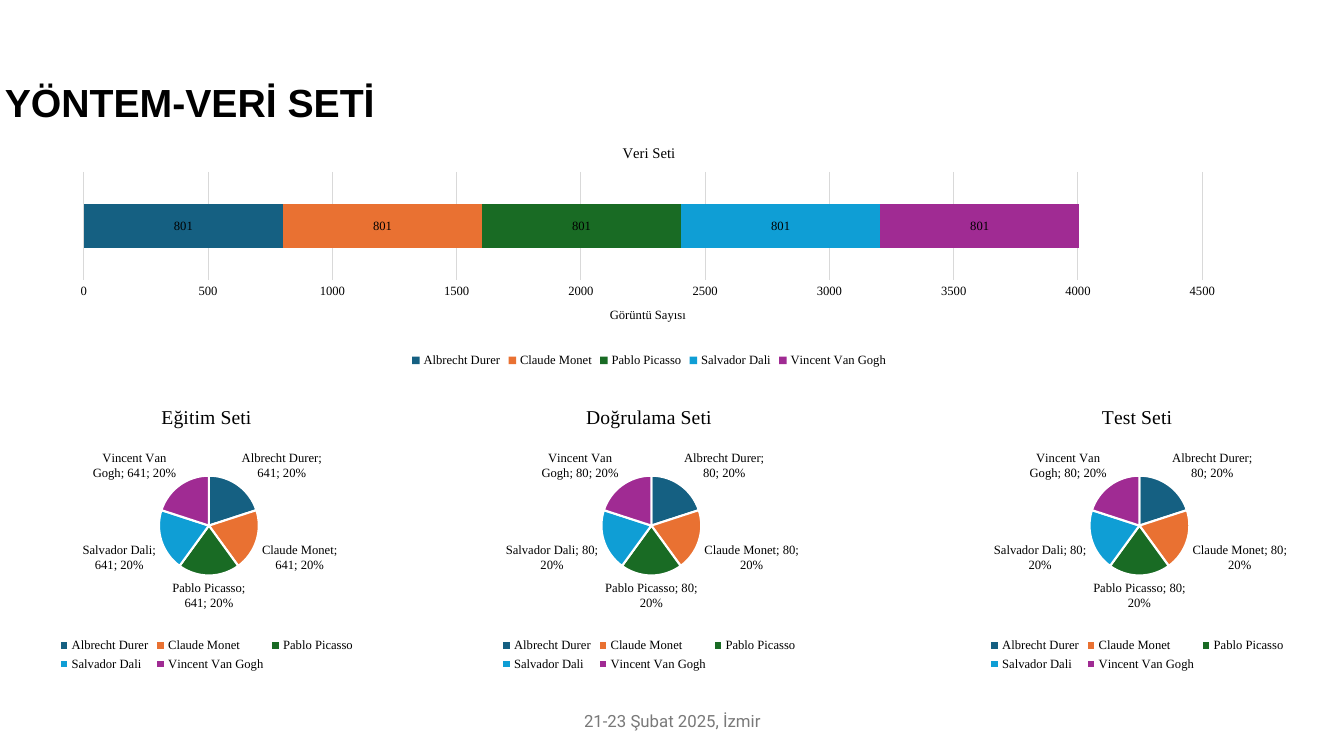
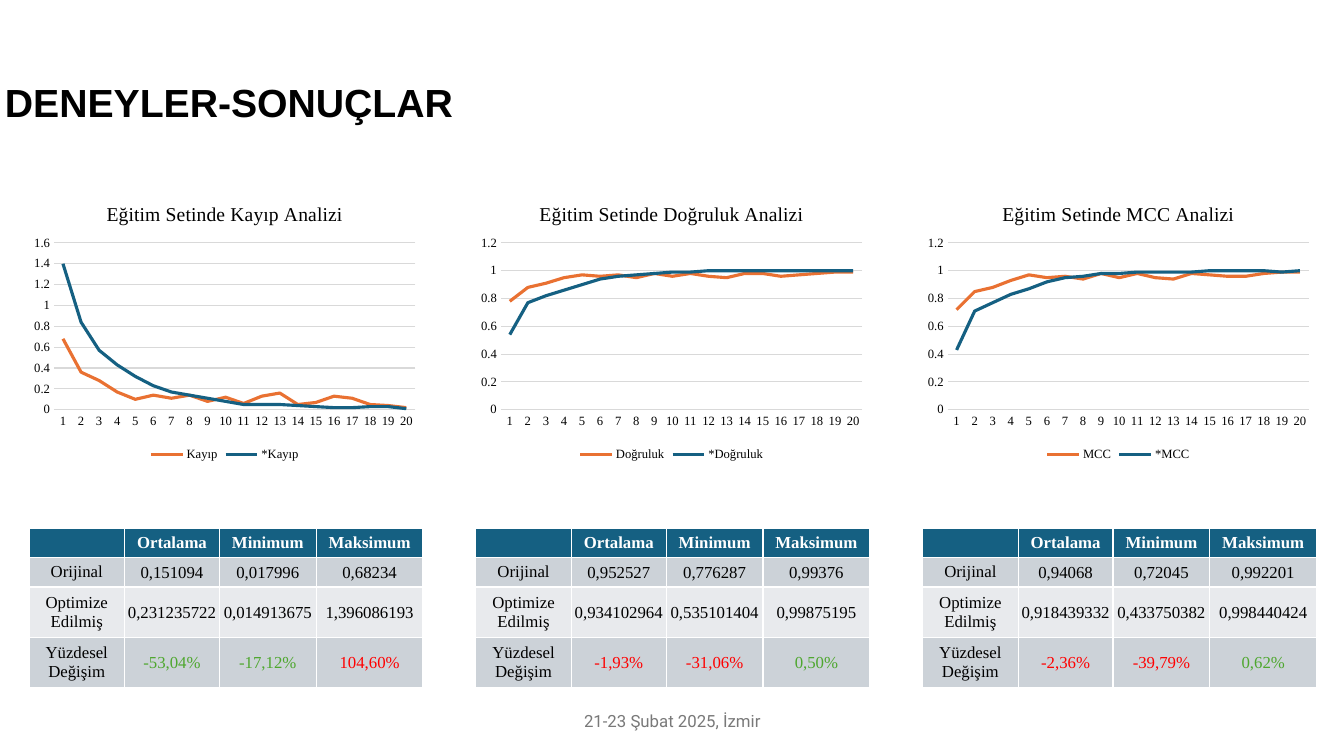
import pptx
import pptx.chart.data
import pptx.dml.color
import pptx.enum.chart
import pptx.enum.text
import pptx.oxml
import pptx.oxml.ns
import pptx.util

Cm, Pt = pptx.util.Cm, pptx.util.Pt
ChartType = pptx.enum.chart.XL_CHART_TYPE
Align = pptx.enum.text.PP_ALIGN
Anchor = pptx.enum.text.MSO_ANCHOR

SERIF = "Times New Roman"
BLACK, WHITE, GRID = "000000", "FFFFFF", "D9D9D9"
TEAL, ORANGE = "156082", "E97132"
GREEN, RED = "4EA72E", "FF0000"
BANDS = ["CCD2D8", "E8EAED"]
PAINTERS = {
    "Albrecht Durer": TEAL,
    "Claude Monet": ORANGE,
    "Pablo Picasso": "196B24",
    "Salvador Dali": "0F9ED5",
    "Vincent Van Gogh": "A02B93",
}


def color(code):
    return pptx.dml.color.RGBColor.from_string(code)


def add_chart(page, kind, frame, title, title_size, categories, series, plot_area):
    """Add a styled chart; plot_area holds x, y, w, h as shares of the frame."""
    data = pptx.chart.data.CategoryChartData()
    data.categories = categories
    for name, values in series:
        data.add_series(name, values)
    chart = page.shapes.add_chart(kind, *[Cm(n) for n in frame], data).chart
    chart.font.name = SERIF
    chart.font.size = Pt(9)
    chart.font.color.rgb = color(BLACK)

    chart.has_title = True
    chart.chart_title.include_in_layout = False
    para = chart.chart_title.text_frame.paragraphs[0]
    para.text = title
    para.font.name = SERIF
    para.font.size = Pt(title_size)
    para.font.bold = False
    para.font.color.rgb = color(BLACK)

    chart.has_legend = True
    chart.legend.position = pptx.enum.chart.XL_LEGEND_POSITION.BOTTOM
    chart.legend.include_in_layout = False
    chart.legend.font.name = SERIF
    chart.legend.font.size = Pt(9)
    chart.plots[0].vary_by_categories = kind == ChartType.PIE

    if kind != ChartType.PIE:
        for axis in (chart.category_axis, chart.value_axis):
            axis.major_tick_mark = pptx.enum.chart.XL_TICK_MARK.NONE
            axis.tick_labels.font.name = SERIF
            axis.tick_labels.font.size = Pt(9)
        chart.category_axis.format.line.color.rgb = color(GRID)
        chart.category_axis.format.line.width = Pt(0.75)
        chart.value_axis.format.line.fill.background()
        chart.value_axis.has_major_gridlines = True
        grid_line = chart.value_axis.major_gridlines.format.line
        grid_line.color.rgb = color(GRID)
        grid_line.width = Pt(0.75)

    area = chart.element.find(".//" + pptx.oxml.ns.qn("c:plotArea"))
    for layout in area.findall(pptx.oxml.ns.qn("c:layout")):
        area.remove(layout)
    places = "".join(f'<c:{key} val="{share}"/>' for key, share in zip("xywh", plot_area))
    area.insert(0, pptx.oxml.parse_xml(
        f'<c:layout {pptx.oxml.ns.nsdecls("c")}><c:manualLayout>'
        '<c:layoutTarget val="inner"/><c:xMode val="edge"/><c:yMode val="edge"/>'
        f"{places}</c:manualLayout></c:layout>"))
    return chart


deck = pptx.Presentation()
deck.slide_width, deck.slide_height = Cm(33.87), Cm(19.05)

# Title and footer of every page
pages = []
for heading in ("YÖNTEM-VERİ SETİ", "DENEYLER-SONUÇLAR"):
    page = deck.slides.add_slide(deck.slide_layouts[5])
    title = page.shapes.title
    title.left, title.top, title.width, title.height = Cm(-0.13), Cm(1.85), Cm(31.57), Cm(1.45)
    footer = page.shapes.add_textbox(Cm(11.23), Cm(17.65), Cm(11.43), Cm(1.02))
    for box, text, font, size, ink, bold, align, anchor in (
        (title, heading, "Arial", 28, BLACK, True, Align.LEFT, Anchor.TOP),
        (footer, "21-23 Şubat 2025, İzmir", "Roboto", 12, "797979", False,
         Align.CENTER, Anchor.MIDDLE),
    ):
        box.text_frame.word_wrap = True
        box.text_frame.auto_size = pptx.enum.text.MSO_AUTO_SIZE.NONE
        box.text_frame.vertical_anchor = anchor
        para = box.text_frame.paragraphs[0]
        para.text = text
        para.alignment = align
        para.font.name = font
        para.font.size = Pt(size)
        para.font.bold = bold
        para.font.color.rgb = color(ink)
    pages.append(page)
dataset_page, results_page = pages

# Data set: all images in one stacked bar
chart = add_chart(dataset_page, ChartType.BAR_STACKED, (1.52, 3.3, 29.67, 6.07), "Veri Seti", 10.5,
                  ["1"], [(name, [801]) for name in PAINTERS], (0.02, 0.17, 0.95, 0.45))
chart.category_axis.visible = False
axis_title = chart.value_axis.axis_title.text_frame.paragraphs[0]
axis_title.text = "Görüntü Sayısı"
axis_title.font.name = SERIF
axis_title.font.size = Pt(9)
axis_title.font.bold = False
plot = chart.plots[0]
plot.gap_width, plot.overlap = 150, 100
plot.has_data_labels = True
plot.data_labels.show_value = True
plot.data_labels.font.name = SERIF
plot.data_labels.font.size = Pt(9)
for series, ink in zip(plot.series, PAINTERS.values()):
    series.format.fill.solid()
    series.format.fill.fore_color.rgb = color(ink)

# Data set: one pie per split
for left, name, count in ((-0.79, "Eğitim Seti", 641), (10.36, "Doğrulama Seti", 80),
                          (22.66, "Test Seti", 80)):
    chart = add_chart(dataset_page, ChartType.PIE, (left, 9.83, 11.99, 7.19), name, 14,
                      list(PAINTERS), [(name, [count] * len(PAINTERS))],
                      (0.4, 0.3, 0.21, 0.35))
    plot = chart.plots[0]
    plot.has_data_labels = True
    labels = plot.data_labels
    labels.show_category_name = labels.show_value = labels.show_percentage = True
    labels.position = pptx.enum.chart.XL_LABEL_POSITION.OUTSIDE_END
    labels.font.name = SERIF
    labels.font.size = Pt(9)
    for index, ink in enumerate(PAINTERS.values()):
        slice_format = plot.series[0].points[index].format
        slice_format.fill.solid()
        slice_format.fill.fore_color.rgb = color(ink)
        slice_format.line.color.rgb = color(WHITE)
        slice_format.line.width = Pt(1.5)

# Results: per metric the name, whether lower is better, both curves and the table figures
metrics = [
    ("Kayıp", True,
     [0.68, 0.36, 0.28, 0.17, 0.1, 0.14, 0.11, 0.14, 0.08, 0.12,
      0.06, 0.13, 0.16, 0.05, 0.07, 0.13, 0.11, 0.05, 0.04, 0.02],
     [1.4, 0.84, 0.57, 0.43, 0.32, 0.23, 0.17, 0.14, 0.11, 0.08,
      0.05, 0.05, 0.05, 0.04, 0.03, 0.02, 0.02, 0.03, 0.03, 0.01],
     [["0,151094", "0,017996", "0,68234"],
      ["0,231235722", "0,014913675", "1,396086193"],
      ["-53,04%", "-17,12%", "104,60%"]]),
    ("Doğruluk", False,
     [0.78, 0.88, 0.91, 0.95, 0.97, 0.96, 0.97, 0.95, 0.98, 0.96,
      0.98, 0.96, 0.95, 0.98, 0.98, 0.96, 0.97, 0.98, 0.99, 0.99],
     [0.54, 0.77, 0.82, 0.86, 0.9, 0.94, 0.96, 0.97, 0.98, 0.99,
      0.99, 1, 1, 1, 1, 1, 1, 1, 1, 1],
     [["0,952527", "0,776287", "0,99376"],
      ["0,934102964", "0,535101404", "0,99875195"],
      ["-1,93%", "-31,06%", "0,50%"]]),
    ("MCC", False,
     [0.72, 0.85, 0.88, 0.93, 0.97, 0.95, 0.96, 0.94, 0.98, 0.95,
      0.98, 0.95, 0.94, 0.98, 0.97, 0.96, 0.96, 0.98, 0.99, 0.99],
     [0.43, 0.71, 0.77, 0.83, 0.87, 0.92, 0.95, 0.96, 0.98, 0.98,
      0.99, 0.99, 0.99, 0.99, 1, 1, 1, 1, 0.99, 1],
     [["0,94068", "0,72045", "0,992201"],
      ["0,918439332", "0,433750382", "0,998440424"],
      ["-2,36%", "-39,79%", "0,62%"]]),
]
epochs = [str(number) for number in range(1, 21)]
header = ["", "Ortalama", "Minimum", "Maksimum"]
row_names = ["Orijinal", "Optimize Edilmiş", "Yüzdesel Değişim"]
column_widths = [2.41, 2.39, 2.44, 2.69]
row_heights = [0.74, 0.74, 1.27, 1.27]

for index, (metric, lower_is_better, base, optimized, figures) in enumerate(metrics):
    left = 0.66 + index * 11.26
    chart = add_chart(results_page, ChartType.LINE, (left, 4.72, 10.01, 7.01),
                      f"Eğitim Setinde {metric} Analizi", 14, epochs,
                      [(metric, base), ("*" + metric, optimized)], (0.07, 0.2, 0.91, 0.6))
    for series, ink in zip(chart.plots[0].series, (ORANGE, TEAL)):
        series.smooth = False
        series.format.line.color.rgb = color(ink)
        series.format.line.width = Pt(2.25)

    rows = [header] + [[name] + values for name, values in zip(row_names, figures)]
    table = results_page.shapes.add_table(
        len(rows), len(header), Cm(left + 0.07), Cm(13.31),
        Cm(sum(column_widths)), Cm(sum(row_heights))).table
    for column, width in zip(table.columns, column_widths):
        column.width = Cm(width)
    for row, height in zip(table.rows, row_heights):
        row.height = Cm(height)
    for row_index, row in enumerate(rows):
        for column_index, text in enumerate(row):
            cell = table.cell(row_index, column_index)
            is_header = row_index == 0
            ink = WHITE if is_header else BLACK
            if text.endswith("%"):
                ink = GREEN if text.startswith("-") == lower_is_better else RED
            cell.fill.solid()
            cell.fill.fore_color.rgb = color(TEAL if is_header else BANDS[(row_index - 1) % 2])
            cell.vertical_anchor = Anchor.MIDDLE
            if not is_header and column_index > 0:
                cell.margin_left = cell.margin_right = cell.margin_top = Cm(0.03)
                cell.margin_bottom = 0
            para = cell.text_frame.paragraphs[0]
            para.text = text
            para.alignment = Align.CENTER
            para.font.name = SERIF
            para.font.size = Pt(12)
            para.font.bold = is_header
            para.font.color.rgb = color(ink)

deck.save("out.pptx")
